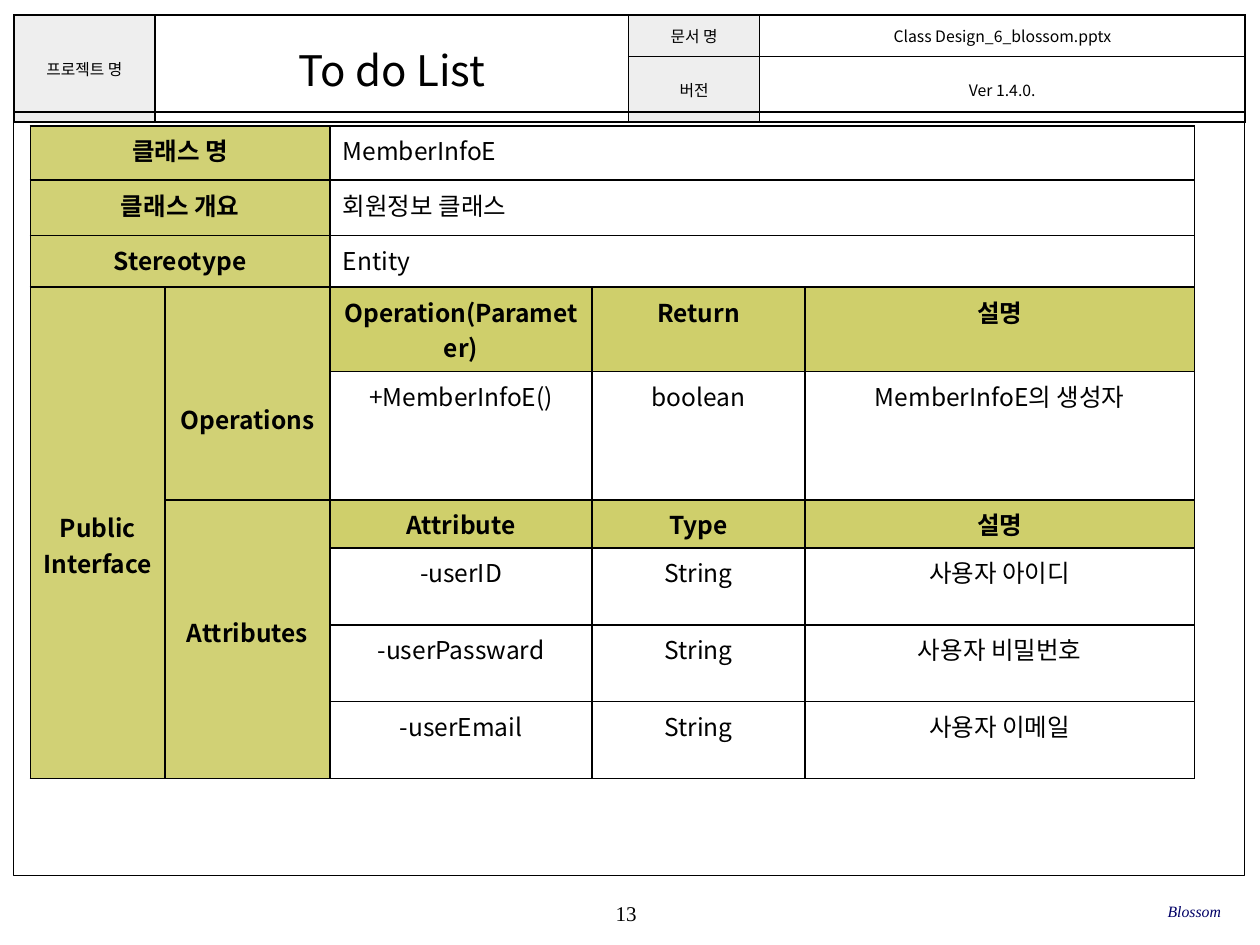
from dataclasses import dataclass

from lxml import etree
from pptx import Presentation
from pptx.dml.color import RGBColor
from pptx.enum.shapes import MSO_SHAPE
from pptx.enum.text import MSO_ANCHOR, PP_ALIGN
from pptx.oxml.ns import qn
from pptx.util import Inches, Pt

LEFT, CENTER, RIGHT = PP_ALIGN.LEFT, PP_ALIGN.CENTER, PP_ALIGN.RIGHT
TOP, MIDDLE = MSO_ANCHOR.TOP, MSO_ANCHOR.MIDDLE
RECT = MSO_SHAPE.RECTANGLE


@dataclass(frozen=True)
class Theme:
    sans: str = "Noto Sans CJK KR"
    serif: str = "Times New Roman"
    ink: str = "000000"
    navy: str = "000066"
    gray: str = "EEEEEE"
    olive: str = "D1D175"
    head: str = "CFCF6B"
    white: str = "FFFFFF"
    small: int = 9
    page: int = 12
    body: int = 14
    title: int = 24
    line: float = 0.285  # height of one body line, inches


THEME = Theme()


def write(frame, text, size, align, font=THEME.sans, color=THEME.ink,
          bold=False, italic=False):
    frame.text = text
    for para in frame.paragraphs:
        para.alignment = align
        for run in para.runs:
            face = run.font
            face.name, face.size = font, Pt(size)
            face.bold, face.italic = bold, italic
            face.color.rgb = RGBColor.from_string(color)
            east = etree.SubElement(face._element, qn("a:ea"))
            east.set("typeface", font)


def edge(cell):
    """Draw a thin line on all four sides of a cell."""
    props = cell._tc.get_or_add_tcPr()
    for i, side in enumerate(("lnL", "lnR", "lnT", "lnB")):
        line = etree.Element(qn(f"a:{side}"), w=str(Pt(1)))
        fill = etree.SubElement(line, qn("a:solidFill"))
        etree.SubElement(fill, qn("a:srgbClr"), val=THEME.ink)
        props.insert(i, line)


def paint(cell, color):
    if color:
        cell.fill.solid()
        cell.fill.fore_color.rgb = RGBColor.from_string(color)
    else:
        cell.fill.background()


def grid(slide, left, top, cols, rows):
    """Add a plain ruled table with the given column and row sizes."""
    frame = slide.shapes.add_table(
        len(rows), len(cols), Inches(left), Inches(top),
        Inches(sum(cols)), Inches(sum(rows)))
    table = frame.table
    table.first_row = table.horz_banding = False
    for col, width in zip(table.columns, cols):
        col.width = Inches(width)
    for row, height in zip(table.rows, rows):
        row.height = Inches(height)
    for cell in table.iter_cells():
        paint(cell, None)
        edge(cell)
    return table


def span(table, row, col, high, wide):
    cell = table.cell(row, col)
    if high * wide > 1:
        cell.merge(table.cell(row + high - 1, col + wide - 1))
    return cell


def header(slide, left, top, cols, rows):
    table = grid(slide, left, top, cols, rows)
    parts = [
        (0, 0, 2, "프로젝트 명", THEME.small, THEME.gray),
        (0, 1, 2, "To do List", THEME.title, None),
        (0, 2, 1, "문서 명", THEME.small, THEME.gray),
        (0, 3, 1, "Class Design_6_blossom.pptx", THEME.small, None),
        (1, 2, 1, "버전", THEME.small, THEME.gray),
        (1, 3, 1, "Ver 1.4.0.", THEME.small, None),
    ]
    for row, col, high, text, size, color in parts:
        cell = span(table, row, col, high, 1)
        cell.vertical_anchor = MIDDLE
        cell.margin_left = cell.margin_right = Inches(0.04)
        cell.margin_top = cell.margin_bottom = Inches(0.02)
        paint(cell, color)
        write(cell.text_frame, text, size, CENTER)


def spec_table(slide, left, top, cols, rows):
    table = grid(slide, left, top, cols, rows)

    def put(cell, text, color, bold=False, align=CENTER):
        cell.vertical_anchor = TOP
        paint(cell, color)
        write(cell.text_frame, text, THEME.body, align, bold=bold)

    facts = [("클래스 명", "MemberInfoE"),
             ("클래스 개요", "회원정보 클래스"),
             ("Stereotype", "Entity")]
    for row, (label, value) in enumerate(facts):
        put(span(table, row, 0, 1, 2), label, THEME.olive, True)
        put(span(table, row, 2, 1, 3), value, THEME.white, align=LEFT)

    sides = [(3, 0, 6, "Public\nInterface", 6),
             (3, 1, 2, "Operations", 3),
             (5, 1, 4, "Attributes", 3)]
    for row, col, high, text, drop in sides:
        cell = span(table, row, col, high, 1)
        put(cell, text, THEME.olive, True)
        cell.margin_top = Inches(0.05 + drop * THEME.line)

    members = [
        ("Operation(Parameter)", "Return", "설명"),
        ("+MemberInfoE()", "boolean", "MemberInfoE의 생성자"),
        ("Attribute", "Type", "설명"),
        ("-userID", "String", "사용자 아이디"),
        ("-userPassward", "String", "사용자 비밀번호"),
        ("-userEmail", "String", "사용자 이메일"),
    ]
    for row, texts in enumerate(members, 3):
        top_row = row in (3, 5)
        color = THEME.head if top_row else THEME.white
        for col, text in enumerate(texts, 2):
            put(table.cell(row, col), text, color, top_row)


def border(slide, left, top, width, height):
    box = slide.shapes.add_shape(
        RECT, Inches(left), Inches(top), Inches(width), Inches(height))
    box.shadow.inherit = False
    box.fill.background()
    box.line.color.rgb = RGBColor.from_string(THEME.ink)
    box.line.width = Pt(0.75)


def note(slide, left, top, width, height, text, size, align, **style):
    box = slide.shapes.add_textbox(
        Inches(left), Inches(top), Inches(width), Inches(height))
    frame = box.text_frame
    frame.word_wrap = True
    frame.vertical_anchor = MIDDLE
    frame.margin_left = frame.margin_right = 0
    frame.margin_top = frame.margin_bottom = 0
    write(frame, text, size, align, font=THEME.serif, **style)


def main():
    deck = Presentation()
    deck.slide_width, deck.slide_height = Inches(10), Inches(7.5)
    slide = deck.slides.add_slide(deck.slide_layouts[6])
    note(slide, 3.93, 7.08, 2.08, 0.33, "13", THEME.page, CENTER)
    header(slide, 0.11, 0.12, (1.12, 3.76, 1.04, 3.85), (0.33, 0.52))
    border(slide, 0.11, 0.89, 9.77, 6.06)
    note(slide, 6.63, 7.07, 3.06, 0.33, "Blossom", THEME.small, RIGHT,
         color=THEME.navy, italic=True)
    spec_table(slide, 0.24, 1, (1.07, 1.31, 2.08, 1.69, 3.09),
               (0.43, 0.44, 0.41, 0.67, 1.02, 0.38, 0.61, 0.61, 0.61))
    deck.save("out.pptx")


if __name__ == "__main__":
    main()
